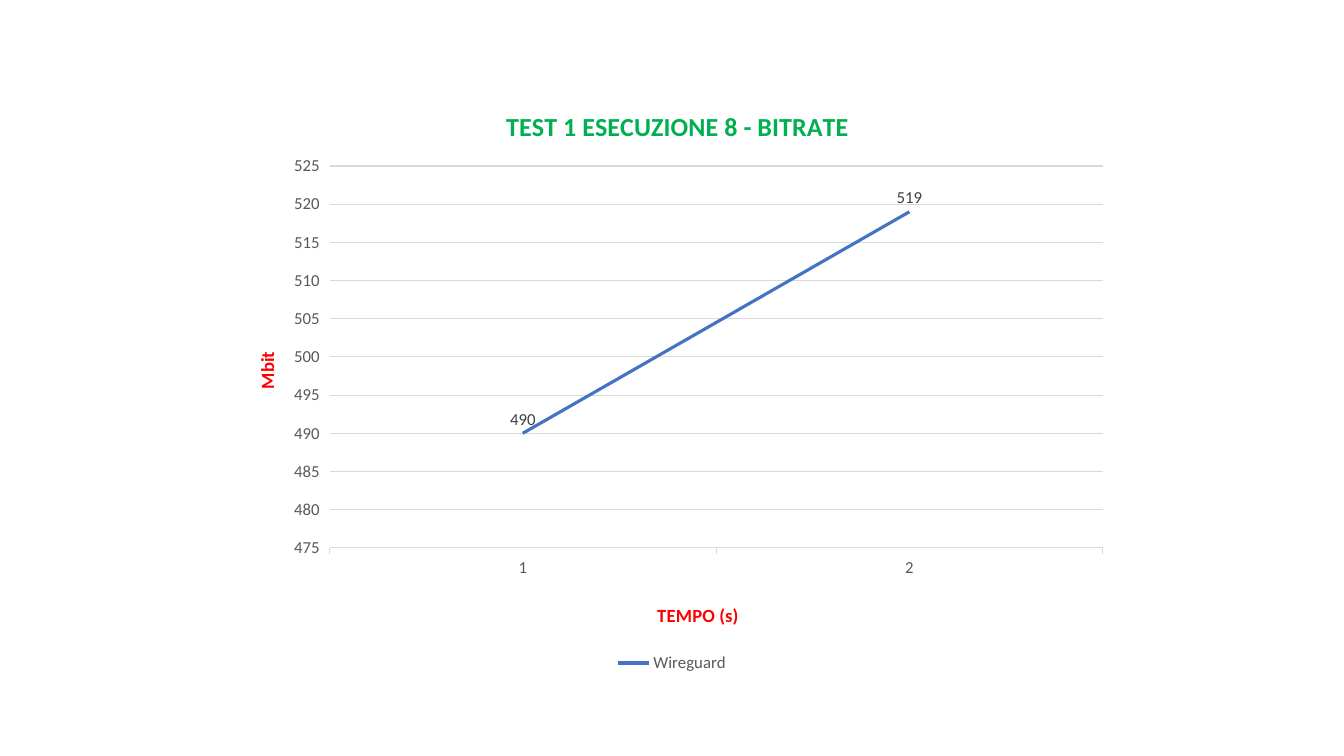
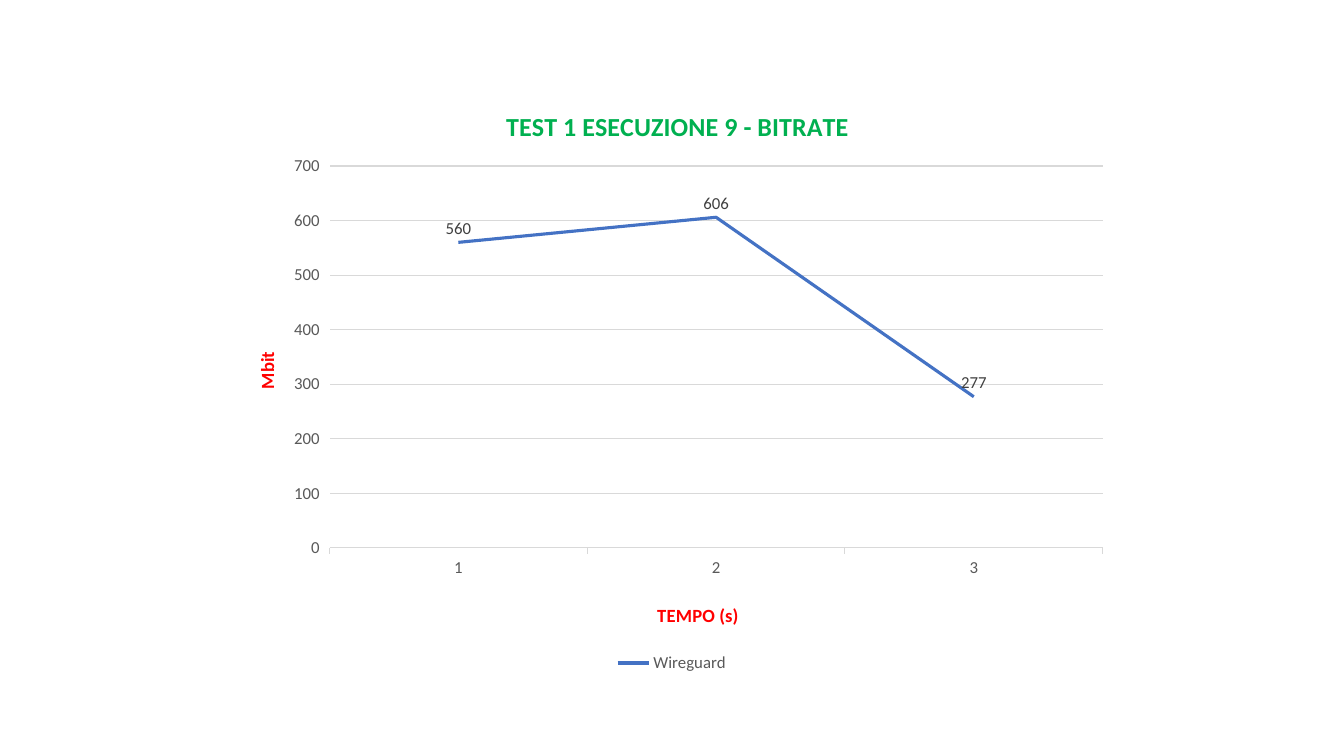
from dataclasses import dataclass

from lxml import etree
from pptx import Presentation
from pptx import util as u
from pptx.chart import data as chart_data
from pptx.dml import color
from pptx.enum import chart as ch
from pptx.oxml import ns

COLORS = {
    "title": "00B050",
    "axis_title": "FF0000",
    "text": "595959",
    "label": "404040",
    "grid": "D9D9D9",
    "line": "4472C4",
}
FONT = "Calibri"
TEXT_SIZE = 12
AXIS_TITLE_SIZE = 13.3
TITLE_SIZE = 18.6


@dataclass(frozen=True)
class BitrateTest:
    run_number: int
    values: tuple[int, ...]
    low: int
    high: int
    step: int


TESTS = (
    BitrateTest(8, (490, 519), 475, 525, 5),
    BitrateTest(9, (560, 606, 277), 0, 700, 100),
)


def rgb(name: str) -> color.RGBColor:
    return color.RGBColor.from_string(COLORS[name])


def style_font(font, name: str, size: float = TEXT_SIZE, bold: bool = False) -> None:
    font.name = FONT
    font.size = u.Pt(size)
    font.bold = bold
    font.color.rgb = rgb(name)


def style_line(line, name: str, width: float) -> None:
    line.color.rgb = rgb(name)
    line.width = u.Pt(width)


def set_layout(parent, index: int, **fractions: float) -> None:
    for old in parent.findall(ns.qn("c:layout")):
        parent.remove(old)
    layout = etree.Element(ns.qn("c:layout"))
    manual = etree.SubElement(layout, ns.qn("c:manualLayout"))
    settings = {"xMode": "edge", "yMode": "edge", **fractions}
    if "w" in fractions:
        settings = {"layoutTarget": "inner", **settings}
    for tag, value in settings.items():
        etree.SubElement(manual, ns.qn(f"c:{tag}")).set("val", str(value))
    parent.insert(index, layout)


def set_title(title, text: str, name: str, size: float, x: float, y: float) -> None:
    tf = title.text_frame
    tf.text = text
    style_font(tf.paragraphs[0].runs[0].font, name, size, bold=True)
    set_layout(title._element, 1, x=x, y=y)


def style_axes(chart, test: BitrateTest) -> None:
    cat, val = chart.category_axis, chart.value_axis
    for axis in (cat, val):
        axis.major_tick_mark = ch.XL_TICK_MARK.OUTSIDE
        axis.minor_tick_mark = ch.XL_TICK_MARK.NONE
        style_font(axis.tick_labels.font, "text")
    style_line(cat.format.line, "grid", 0.75)
    val.format.line.fill.background()
    val.has_major_gridlines = True
    style_line(val.major_gridlines.format.line, "grid", 0.75)
    val.minimum_scale = test.low
    val.maximum_scale = test.high
    val.major_unit = test.step
    set_title(cat.axis_title, "TEMPO (s)", "axis_title", AXIS_TITLE_SIZE, 0.48, 0.87)
    set_title(val.axis_title, "Mbit", "axis_title", AXIS_TITLE_SIZE, 0.03, 0.45)


def style_series(series) -> None:
    series.smooth = False
    series.marker.style = ch.XL_MARKER_STYLE.NONE
    style_line(series.format.line, "line", 2.25)
    labels = series.data_labels
    labels.show_value = True
    labels.position = ch.XL_LABEL_POSITION.ABOVE
    style_font(labels.font, "label")


def add_bitrate_slide(prs, test: BitrateTest) -> None:
    s = prs.slides.add_slide(prs.slide_layouts[6])
    data = chart_data.CategoryChartData()
    data.categories = [str(i) for i in range(1, len(test.values) + 1)]
    data.add_series("Wireguard", test.values)
    chart = s.shapes.add_chart(
        ch.XL_CHART_TYPE.LINE, u.Cm(5.64), u.Cm(2), u.Cm(22.58), u.Cm(15.06), data
    ).chart
    chart.font.name = FONT
    chart.font.size = u.Pt(10)
    chart.plots[0].vary_by_categories = False
    set_title(
        chart.chart_title, f"TEST 1 ESECUZIONE {test.run_number} - BITRATE",
        "title", TITLE_SIZE, 0.31, 0.04,
    )
    style_axes(chart, test)
    style_series(chart.plots[0].series[0])
    chart.has_legend = True
    chart.legend.position = ch.XL_LEGEND_POSITION.BOTTOM
    chart.legend.include_in_layout = False
    style_font(chart.legend.font, "text")
    plot_area = chart._chartSpace.chart.plotArea
    set_layout(plot_area, 0, x=0.118, y=0.145, w=0.863, h=0.639)


def main() -> None:
    prs = Presentation()
    prs.slide_width = u.Cm(33.87)
    prs.slide_height = u.Cm(19.05)
    for test in TESTS:
        add_bitrate_slide(prs, test)
    prs.save("out.pptx")


if __name__ == "__main__":
    main()
